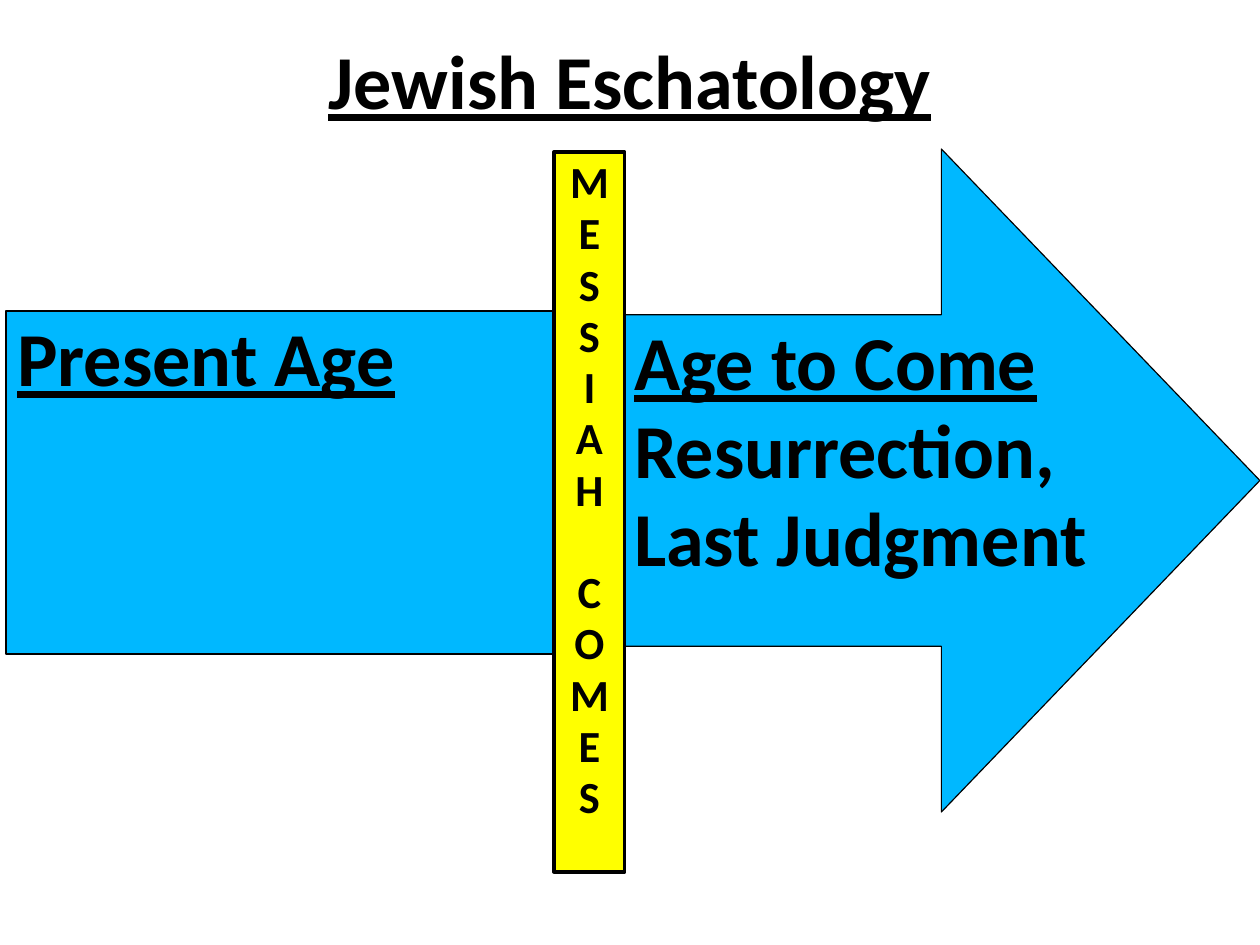
from pptx import Presentation
from pptx.dml.color import RGBColor
from pptx.enum.shapes import MSO_SHAPE as Shape
from pptx.enum.text import MSO_ANCHOR as Anchor, PP_ALIGN as Align
from pptx.util import Pt

PX = 8000
SLIDE_SIZE = 10080625, 7559675
COLORS = {"ink": "000000", "age": "00B8FF", "messiah": "FFFF00"}


def color(name):
    """Return the named colour."""
    return RGBColor.from_string(COLORS[name])


def write(shape, lines, size, align=Align.LEFT, underlined=0):
    """Fill a shape with bold lines, the first few of them underlined."""
    frame = shape.text_frame
    frame.word_wrap = True
    frame.vertical_anchor = Anchor.TOP
    frame.text = "\n".join(lines)
    for index, para in enumerate(frame.paragraphs):
        para.alignment = align
        para.line_spacing = 0.96
        for span in para.runs:
            font = span.font
            font.name, font.size, font.bold = "Calibri", Pt(size), True
            font.underline = index < underlined
            font.color.rgb = color("ink")


def add_block(page, kind, box, fill, line_width):
    """Add an outlined solid shape in the given box."""
    block = page.shapes.add_shape(kind, *(length * PX for length in box))
    block.shadow.inherit = False
    block.fill.solid()
    block.fill.fore_color.rgb = color(fill)
    block.line.color.rgb = color("ink")
    block.line.width = Pt(line_width)
    return block


def add_title(page, box):
    """Add the centred slide title."""
    title = page.shapes.add_textbox(*(length * PX for length in box))
    write(title, ["Jewish Eschatology"], 48, Align.CENTER, underlined=1)


def add_age(page, kind, box, lines):
    """Add one age of the timeline under its underlined heading."""
    write(add_block(page, kind, box, "age", 0.75), lines, 48, underlined=1)


def add_messiah_bar(page, box, words):
    """Add the dividing bar with its words spelled downwards."""
    bar = add_block(page, Shape.RECTANGLE, box, "messiah", 2)
    write(bar, "".join(words), 28, Align.CENTER)
    second_word = bar.text_frame.paragraphs[len(words[0])]
    second_word.space_before = Pt(32.3)


def main():
    """Build and save the deck."""
    deck = Presentation()
    deck.slide_width, deck.slide_height = SLIDE_SIZE
    page = deck.slides.add_slide(deck.slide_layouts[6])
    add_title(page, (20, 34, 1220, 99))
    add_age(page, Shape.RECTANGLE, (6, 311, 549, 343), ["Present Age"])
    add_age(page, Shape.RIGHT_ARROW, (623, 149, 637, 663),
            ["Age to Come", "Resurrection,", "Last Judgment"])
    add_messiah_bar(page, (554, 152, 71, 720), ["MESSIAH", "COMES"])
    deck.save("out.pptx")


if __name__ == "__main__":
    main()
